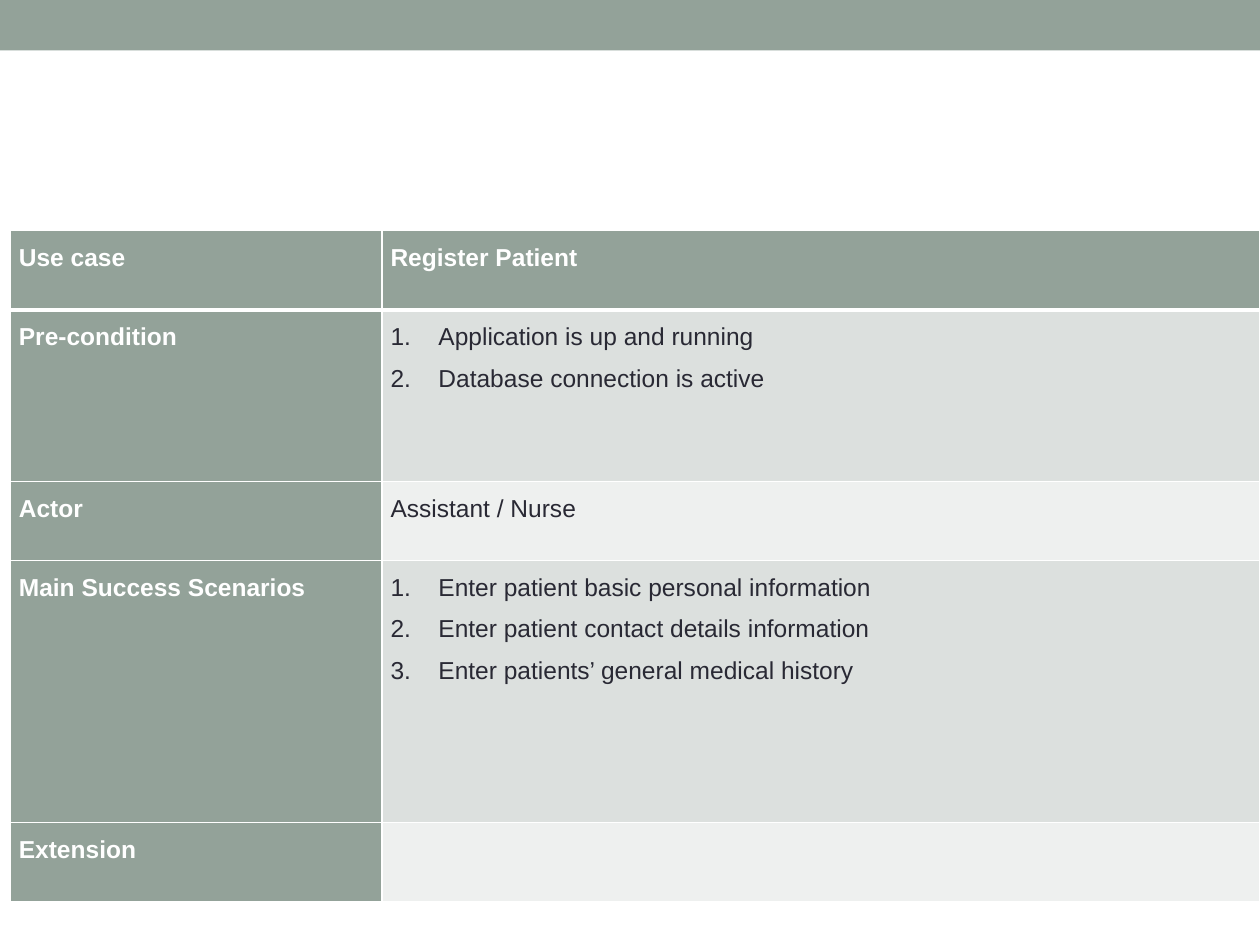
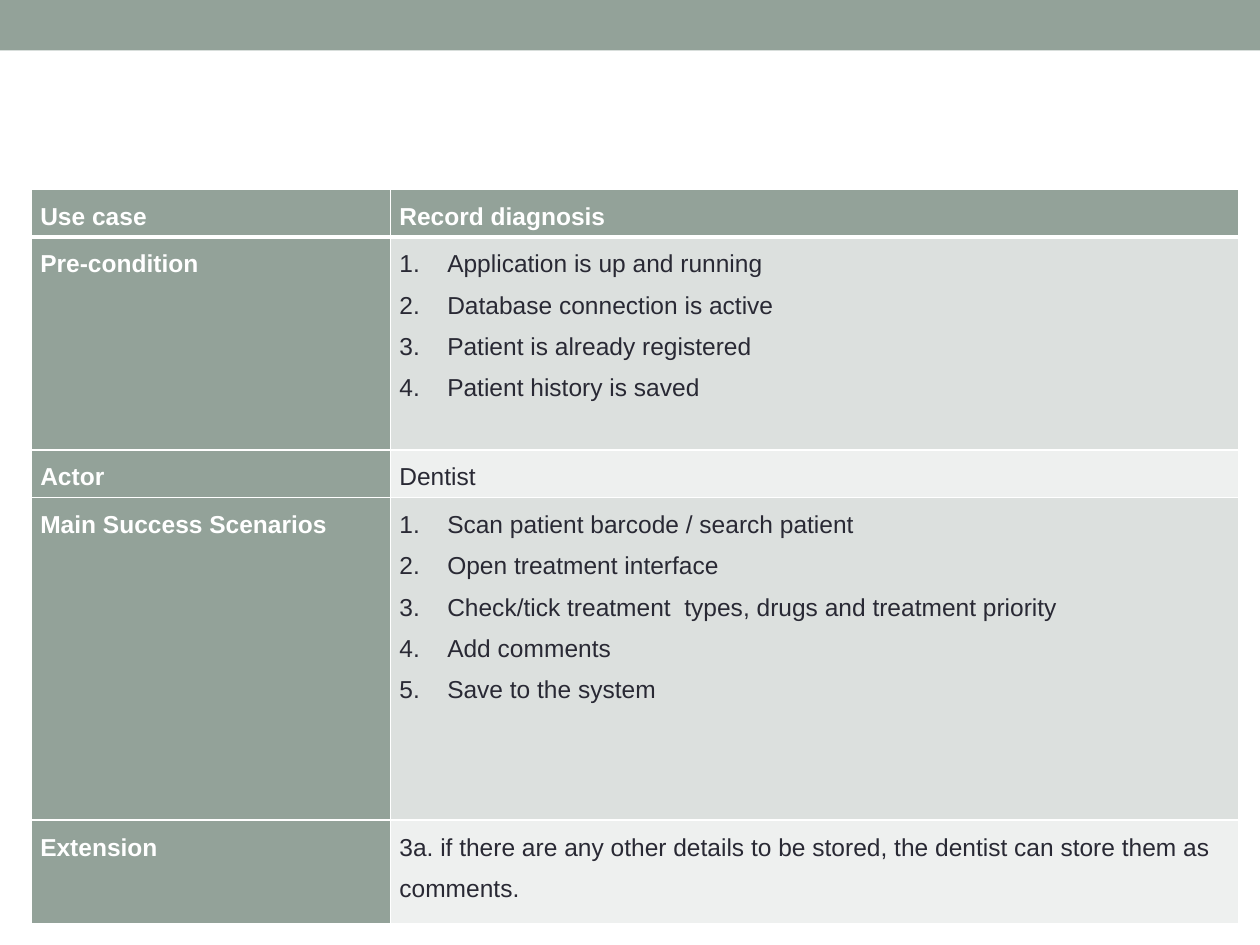
"""Build two use case slides, each with a band and a use case table."""
import pptx
import pptx.dml.color
import pptx.enum.shapes
import pptx.oxml
import pptx.oxml.ns
import pptx.util
import lxml.etree

Inches = pptx.util.Inches
SAGE = pptx.dml.color.RGBColor(0x93, 0xA2, 0x99)
DARK_ROW = pptx.dml.color.RGBColor(0xDC, 0xE0, 0xDE)
LIGHT_ROW = pptx.dml.color.RGBColor(0xEE, 0xF0, 0xEF)
INK = pptx.dml.color.RGBColor(0x29, 0x29, 0x34)
WHITE = pptx.dml.color.RGBColor(0xFF, 0xFF, 0xFF)

HEADINGS = ["Use case", "Pre-condition", "Actor", "Main Success Scenarios", "Extension"]
NUMBERED = ["Pre-condition", "Main Success Scenarios"]
HEADING_FONT = {"name": "Arial", "size": pptx.util.Pt(14), "bold": True}
BODY_FONT = {**HEADING_FONT, "bold": False}
CELL_MARGINS = {"margin_left": Inches(0.07), "margin_right": Inches(0.07),
                "margin_top": 0, "margin_bottom": 0}

USE_CASES = [
    {
        "left": 0.08, "top": 1.83,
        "columns": [2.95, 6.97],
        "rows": [0.63, 1.36, 0.63, 2.08, 0.63],
        "details": [
            ["Register Patient"],
            ["Application is up and running", "Database connection is active"],
            ["Assistant / Nurse"],
            ["Enter patient basic personal information",
             "Enter patient contact details information",
             "Enter patients’ general medical history"],
            [],
        ],
    },
    {
        "left": 0.25, "top": 1.5,
        "columns": [2.85, 6.73],
        "rows": [0.38, 1.69, 0.38, 2.56, 0.82],
        "details": [
            ["Record diagnosis"],
            ["Application is up and running", "Database connection is active",
             "Patient is already registered", "Patient history is saved"],
            ["Dentist"],
            ["Scan patient barcode / search patient", "Open treatment interface",
             "Check/tick treatment  types, drugs and treatment priority",
             "Add comments", "Save to the system"],
            ["3a. if there are any other details to be stored, "
             "the dentist can store them as comments."],
        ],
    },
]


def add_borders(cell, row_index):
    """Draw white cell borders, with a thick rule below the header row."""
    widths = {"lnL": 1, "lnR": 1, "lnT": 3 if row_index == 1 else 1,
              "lnB": 3 if row_index == 0 else 1}
    properties = cell._tc.get_or_add_tcPr()
    for side, width in widths.items():
        line = lxml.etree.SubElement(properties, pptx.oxml.ns.qn(f"a:{side}"),
                                     w=str(pptx.util.Pt(width)))
        fill = lxml.etree.SubElement(line, pptx.oxml.ns.qn("a:solidFill"))
        lxml.etree.SubElement(fill, pptx.oxml.ns.qn("a:srgbClr"), val=str(WHITE))


def fill_cell(cell, lines, font_values, color, numbered):
    """Write one paragraph per line, numbered where asked."""
    for name, value in CELL_MARGINS.items():
        setattr(cell, name, value)
    cell.text = "\n".join(lines)
    for paragraph in cell.text_frame.paragraphs:
        paragraph.line_spacing = 1.5
        for name, value in font_values.items():
            setattr(paragraph.font, name, value)
            for run in paragraph.runs:
                setattr(run.font, name, value)
        for run in paragraph.runs:
            run.font.color.rgb = color
        if numbered:
            properties = paragraph._p.get_or_add_pPr()
            properties.set("marL", str(Inches(0.38)))
            properties.set("indent", str(-Inches(0.38)))
            number = pptx.oxml.parse_xml(
                f'<a:buAutoNum {pptx.oxml.ns.nsdecls("a")} type="arabicPeriod"/>')
            properties.find(pptx.oxml.ns.qn("a:lnSpc")).addnext(number)


presentation = pptx.Presentation()
presentation.slide_width = Inches(10)
presentation.slide_height = Inches(7.5)

for use_case in USE_CASES:
    slide = presentation.slides.add_slide(presentation.slide_layouts[6])
    band = slide.shapes.add_shape(pptx.enum.shapes.MSO_SHAPE.RECTANGLE,
                                  0, 0, presentation.slide_width, Inches(0.4))
    band.shadow.inherit = False
    band.fill.solid()
    band.fill.fore_color.rgb = SAGE
    band.line.fill.background()

    table = slide.shapes.add_table(
        len(HEADINGS), 2, Inches(use_case["left"]), Inches(use_case["top"]),
        Inches(sum(use_case["columns"])), Inches(sum(use_case["rows"]))).table
    table.first_col = True
    for column, width in zip(table.columns, use_case["columns"]):
        column.width = Inches(width)
    for row, height in zip(table.rows, use_case["rows"]):
        row.height = Inches(height)

    for row_index, (heading, details) in enumerate(zip(HEADINGS, use_case["details"])):
        for column_index, lines in enumerate([[heading], details]):
            cell = table.cell(row_index, column_index)
            is_heading = row_index == 0 or column_index == 0
            add_borders(cell, row_index)
            cell.fill.solid()
            body_fill = DARK_ROW if row_index % 2 else LIGHT_ROW
            cell.fill.fore_color.rgb = SAGE if is_heading else body_fill
            fill_cell(cell, lines,
                      HEADING_FONT if is_heading else BODY_FONT,
                      WHITE if is_heading else INK,
                      column_index == 1 and heading in NUMBERED)

presentation.save("out.pptx")
